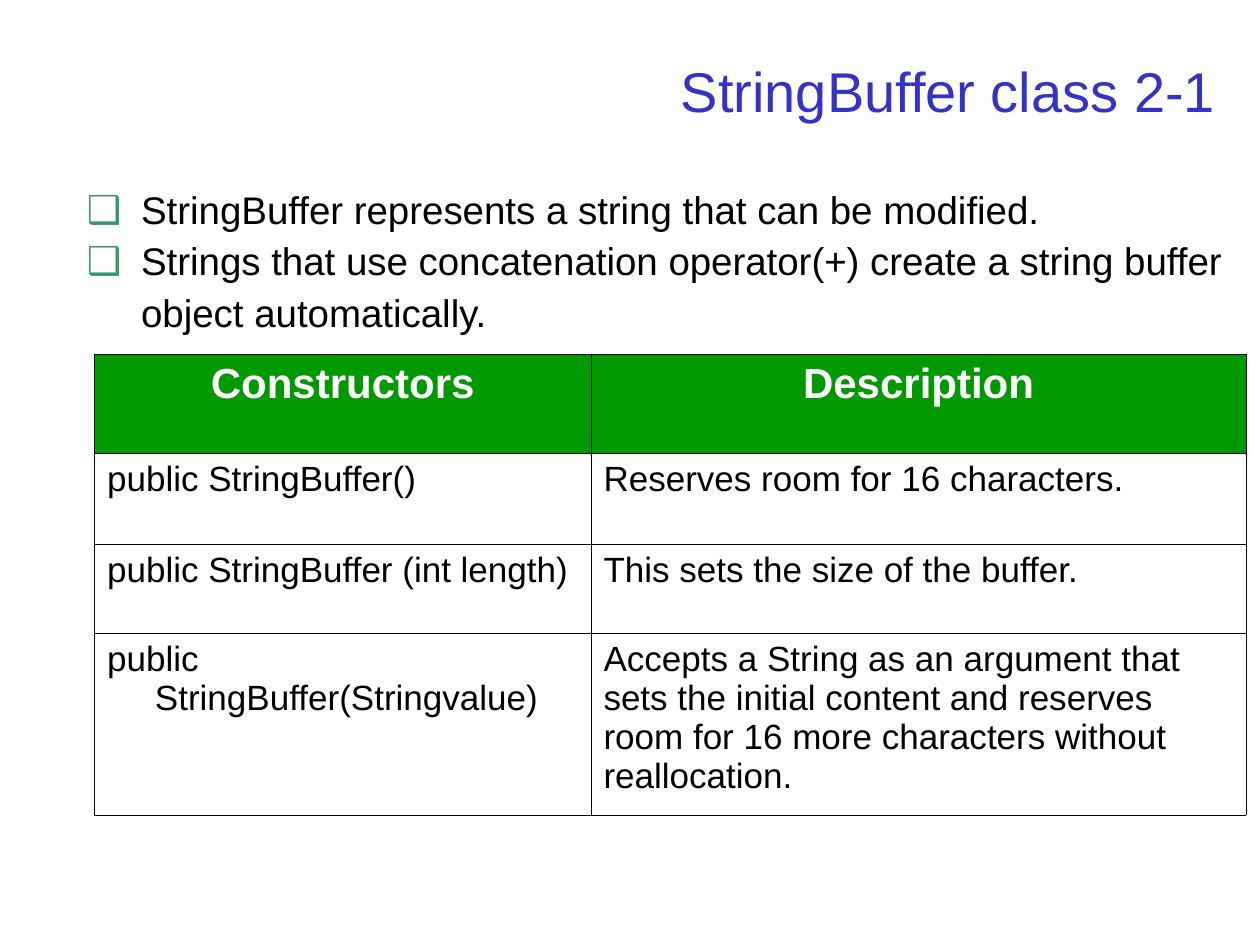
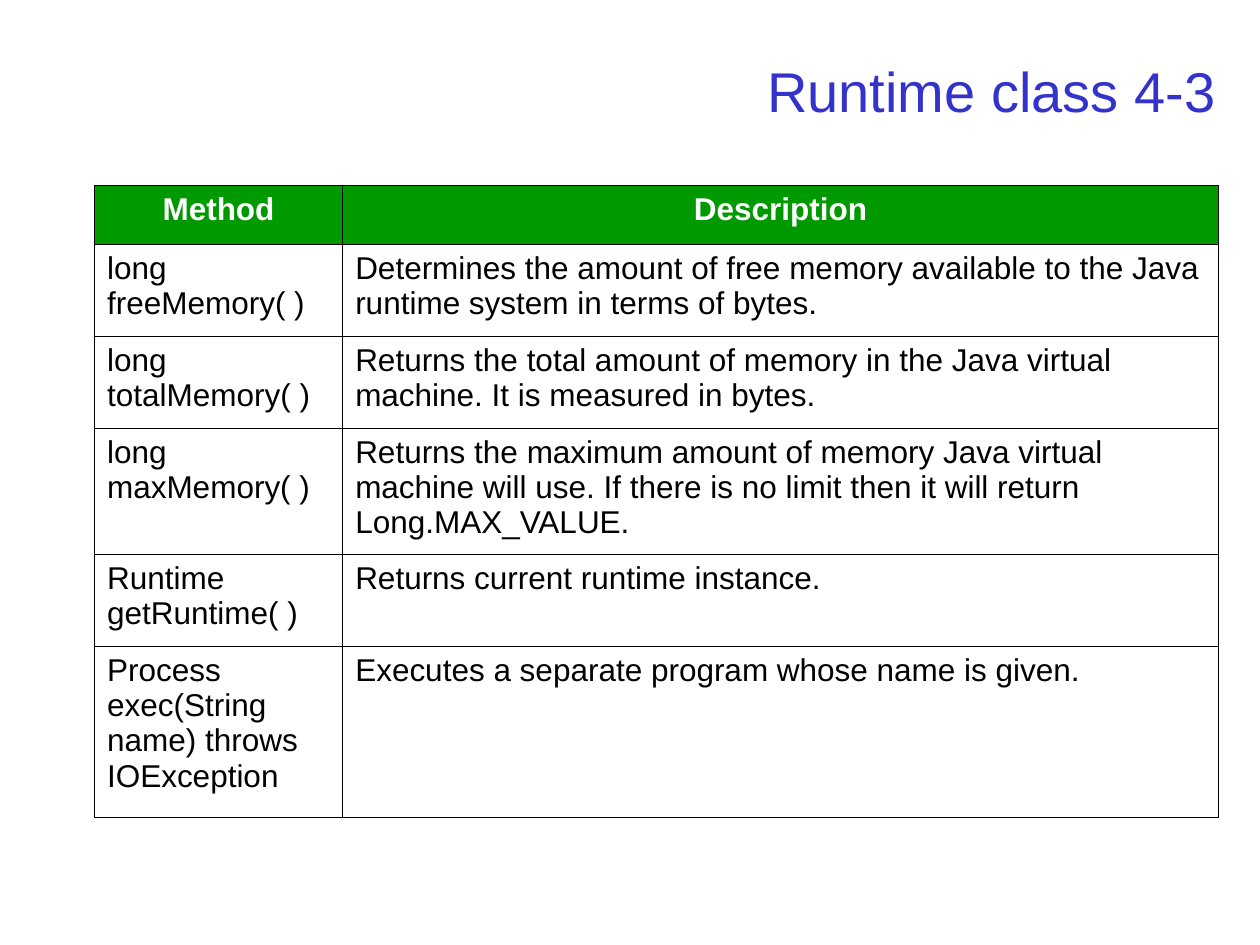
"""Builds two slides on the StringBuffer and Runtime classes, each with a reference table."""
from lxml.etree import SubElement
from pptx import Presentation
from pptx.dml.color import RGBColor
from pptx.enum.text import MSO_ANCHOR as Anchor, MSO_AUTO_SIZE as AutoSize, PP_ALIGN as Align
from pptx.oxml import parse_xml
from pptx.oxml.ns import nsdecls, qn
from pptx.util import Inches, Pt

FONT = "Arial"
BLACK, WHITE, TITLE_BLUE = "000000", "FFFFFF", "3333CC"
HEADER_GREEN, BULLET_GREEN = "009900", "339966"
LEFT, TOP = 0.75, 1.47
BORDER = 0.45
CELL_INDENT, BULLET_INDENT = 0.38, 0.43


def color(value):
    return RGBColor.from_string(value)


def write(frame, text, size=18, fill=BLACK, bold=False, align=Align.LEFT, hanging=0,
          bullet=None, plain_lines=(), line_spacing=None, gap=0):
    frame.word_wrap = True
    for index, line in enumerate(text.split("\n")):
        paragraph = frame.paragraphs[0] if index == 0 else frame.add_paragraph()
        properties = paragraph._p.get_or_add_pPr()
        marked = bullet and index not in plain_lines
        first_line = -hanging if marked or not bullet else 0
        properties.set("marL", str(Inches(hanging)))
        properties.set("indent", str(Inches(first_line)))
        if marked:
            marker_color = SubElement(properties, qn("a:buClr"))
            SubElement(marker_color, qn("a:srgbClr")).set("val", BULLET_GREEN)
            SubElement(properties, qn("a:buChar")).set("char", bullet)
        else:
            SubElement(properties, qn("a:buNone"))
        paragraph.alignment = align
        paragraph.line_spacing = line_spacing
        paragraph.space_before = Pt(gap if index else 0)
        run = paragraph.add_run()
        run.text = line
        run.font.name, run.font.size, run.font.bold = FONT, Pt(size), bold
        run.font.color.rgb = color(fill)


presentation = Presentation()
presentation.slide_width, presentation.slide_height = Inches(10), Inches(7.5)

pages = [
    {
        "title": "StringBuffer class 2-1",
        "layout": 1,
        "bullets": "StringBuffer represents a string that can be modified.\n"
                   "Strings that use concatenation operator(+) create a string buffer\n"
                   "object automatically.",
        "top": 2.81, "columns": [3.94, 5.2], "heights": [0.79, 0.72, 0.71, 1.44],
        "header_size": 24, "size": 20, "hanging": CELL_INDENT,
        "rows": [
            ("Constructors", "Description"),
            ("public StringBuffer()", "Reserves room for 16 characters."),
            ("public StringBuffer (int length)", "This sets the size of the buffer."),
            ("public StringBuffer(Stringvalue)",
             "Accepts a String as an argument that\nsets the initial content and reserves\n"
             "room for 16 more characters without\nreallocation."),
        ],
    },
    {
        "title": "Runtime class 4-3",
        "layout": 5,
        "bullets": None,
        "top": TOP, "columns": [1.97, 6.95], "heights": [0.47, 0.73, 0.73, 1, 0.73, 1.36],
        "header_size": 18, "size": 18, "hanging": 0,
        "rows": [
            ("Method", "Description"),
            ("long freeMemory( )", "Determines the amount of free memory available to the Java "
                                   "runtime system in terms of bytes."),
            ("long totalMemory( )", "Returns the total amount of memory in the Java virtual "
                                    "machine. It is measured in bytes."),
            ("long maxMemory( )", "Returns the maximum amount of memory Java virtual machine will "
                                  "use. If there is no limit then it will return Long.MAX_VALUE."),
            ("Runtime getRuntime( )", "Returns current runtime instance."),
            ("Process exec(String name) throws IOException",
             "Executes a separate program whose name is given."),
        ],
    },
]

for page in pages:
    slide = presentation.slides.add_slide(presentation.slide_layouts[page["layout"]])
    title = slide.shapes.title
    title.left, title.top, title.width, title.height = map(Inches, (LEFT, 0.28, 9, 0.87))
    title.text_frame.vertical_anchor = Anchor.MIDDLE
    title.text_frame.auto_size = AutoSize.NONE
    write(title.text_frame, page["title"], size=32, fill=TITLE_BLUE, align=Align.RIGHT)

    if page["bullets"]:
        body = slide.placeholders[1]
        body.left, body.top, body.width, body.height = map(Inches, (0.59, TOP, 9.41, 1.25))
        body.text_frame.auto_size = AutoSize.NONE
        write(body.text_frame, page["bullets"], size=22, hanging=BULLET_INDENT, bullet="❑",
              plain_lines=(2,), line_spacing=0.9, gap=5.5)

    columns, heights = page["columns"], page["heights"]
    table = slide.shapes.add_table(
        len(heights), len(columns), Inches(LEFT), Inches(page["top"]),
        Inches(sum(columns)), Inches(sum(heights))).table
    table.horz_banding = table.first_row = False
    for column, width in zip(table.columns, columns):
        column.width = Inches(width)
    for row_index, (row, height) in enumerate(zip(table.rows, heights)):
        row.height = Inches(height)
        for cell, text in zip(row.cells, page["rows"][row_index]):
            if row_index == 0:
                cell.fill.solid()
                cell.fill.fore_color.rgb = color(HEADER_GREEN)
                write(cell.text_frame, text, size=page["header_size"], fill=WHITE, bold=True,
                      align=Align.CENTER, hanging=page["hanging"])
            else:
                cell.fill.background()
                write(cell.text_frame, text, size=page["size"], hanging=page["hanging"])
            for position, side in enumerate("LRTB"):
                cell._tc.get_or_add_tcPr().insert(position, parse_xml(
                    f'<a:ln{side} {nsdecls("a")} w="{Pt(BORDER)}"><a:solidFill>'
                    f'<a:srgbClr val="{BLACK}"/></a:solidFill></a:ln{side}>'))

presentation.save("out.pptx")
